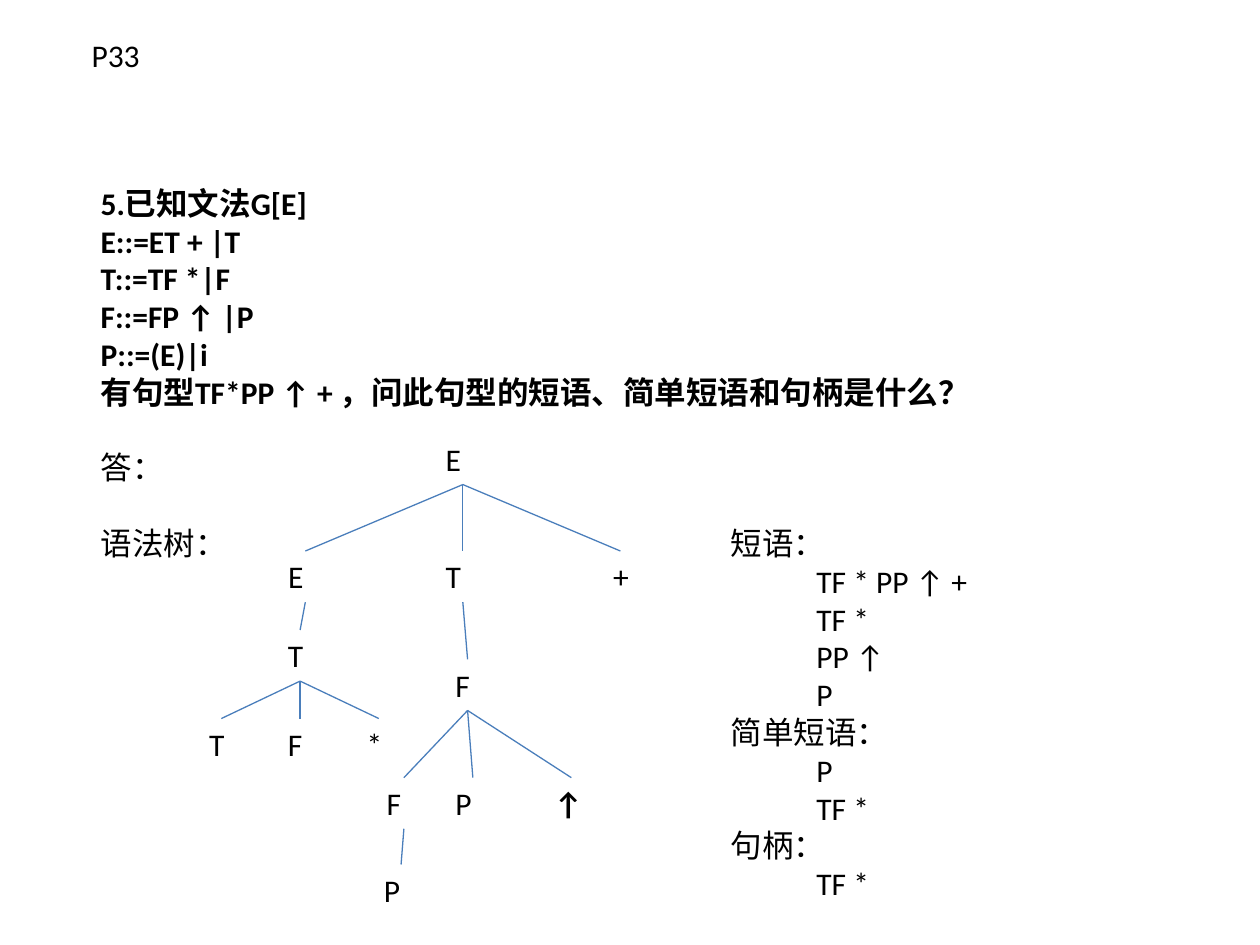
"""Build the exercise slide: a grammar question, its syntax tree and the phrases found."""
from dataclasses import dataclass

from lxml import etree
from pptx import Presentation
from pptx.dml.color import RGBColor
from pptx.enum import shapes, text
from pptx.oxml import ns
from pptx.util import Pt

FONT, SIZE = "Calibri", 18
INK, BRANCH = "000000", "4A7EBB"
NODE_HEIGHT = 29.2
LINE_GAP = 21.6
COLUMN_HEIGHT = 223.2
PHRASE_INDENT = 49
TOP, BOTTOM = 0, 2


@dataclass(frozen=True)
class Line:
    words: str
    bold: bool = False
    indent: float = 0
    before: float = 0


@dataclass(frozen=True)
class Node:
    symbol: str
    left: float
    top: float
    width: float = 34
    children: tuple = ()
    bold: bool = False


QUESTION = ["5.已知文法G[E]", "E::=ET + |T", "T::=TF *|F", "F::=FP ↑ |P", "P::=(E)|i",
            "有句型TF*PP ↑ + ，问此句型的短语、简单短语和句柄是什么？"]
ANSWERS = {
    "短语：": ["TF * PP ↑ +", "TF *", "PP ↑", "P"],
    "简单短语：": ["P", "TF *"],
    "句柄：": ["TF *"],
}

TREE = Node("E", 247.5, 247.7, children=(
    Node("E", 157.5, 314.9, children=(
        Node("T", 157.5, 360, 28, (
            Node("T", 112.5, 410.6, 28),
            Node("F", 157.5, 410.6, 28),
            Node("*", 202.5, 410.6, 28))),)),
    Node("T", 247.5, 314.9, children=(
        Node("F", 253.2, 376.8, 28, (
            Node("F", 213.8, 444.4, children=(Node("P", 212.2, 494),)),
            Node("P", 253.2, 444.4),
            Node("↑", 309.5, 444.4, bold=True))),)),
    Node("+", 343.3, 314.9, 22.5)))


def colour(code: str) -> RGBColor:
    """Return the colour for a hex string."""
    return RGBColor.from_string(code)


def add_text(slide, left: float, top: float, width: float, height: float, lines: list[Line]):
    """Add a text box with one paragraph per line."""
    box = slide.shapes.add_textbox(Pt(left), Pt(top), Pt(width), Pt(height))
    frame = box.text_frame
    frame.word_wrap = True
    frame.auto_size = text.MSO_AUTO_SIZE.SHAPE_TO_FIT_TEXT
    for index, line in enumerate(lines):
        paragraph = frame.add_paragraph() if index else frame.paragraphs[0]
        paragraph.text = line.words
        paragraph.space_before = Pt(line.before)
        paragraph.font.name = FONT
        paragraph.font.size = Pt(SIZE)
        paragraph.font.bold = line.bold
        paragraph.font.color.rgb = colour(INK)
        properties = paragraph._p.get_or_add_pPr()
        properties.set("marL", str(Pt(line.indent)))
        properties.set("indent", "0")
    return box


def add_branch(slide, parent, child) -> None:
    """Join the bottom of a parent node to the top of its child."""
    branch = slide.shapes.add_connector(shapes.MSO_CONNECTOR.STRAIGHT, 0, 0, 0, 0)
    branch.begin_connect(parent, BOTTOM)
    branch.end_connect(child, TOP)
    branch.line.color.rgb = colour(BRANCH)
    branch.line.width = Pt(0.75)
    etree.SubElement(branch._element.spPr, ns.qn("a:effectLst"))


def add_tree(slide, node: Node):
    """Draw a node with everything below it and return its box."""
    box = add_text(slide, node.left, node.top, node.width, NODE_HEIGHT,
                   [Line(node.symbol, node.bold)])
    for child in node.children:
        add_branch(slide, box, add_tree(slide, child))
    return box


def main() -> None:
    """Build and save the slide."""
    deck = Presentation()
    deck.slide_width, deck.slide_height = Pt(720), Pt(540)
    slide = deck.slides.add_slide(deck.slide_layouts[6])
    exercise = [Line(words, bold=True) for words in QUESTION]
    exercise += [Line(words, before=LINE_GAP) for words in ("答：", "语法树：")]
    answers = []
    for heading, phrases in ANSWERS.items():
        answers.append(Line(heading))
        answers += [Line(phrase, indent=PHRASE_INDENT) for phrase in phrases]
    add_text(slide, 50.4, 101.5, 613.4, COLUMN_HEIGHT, exercise)
    add_text(slide, 410.4, 295.9, 253.4, COLUMN_HEIGHT, answers)
    add_text(slide, 45.2, 16.9, 630, NODE_HEIGHT, [Line("P33")])
    add_tree(slide, TREE)
    deck.save("out.pptx")


if __name__ == "__main__":
    main()
